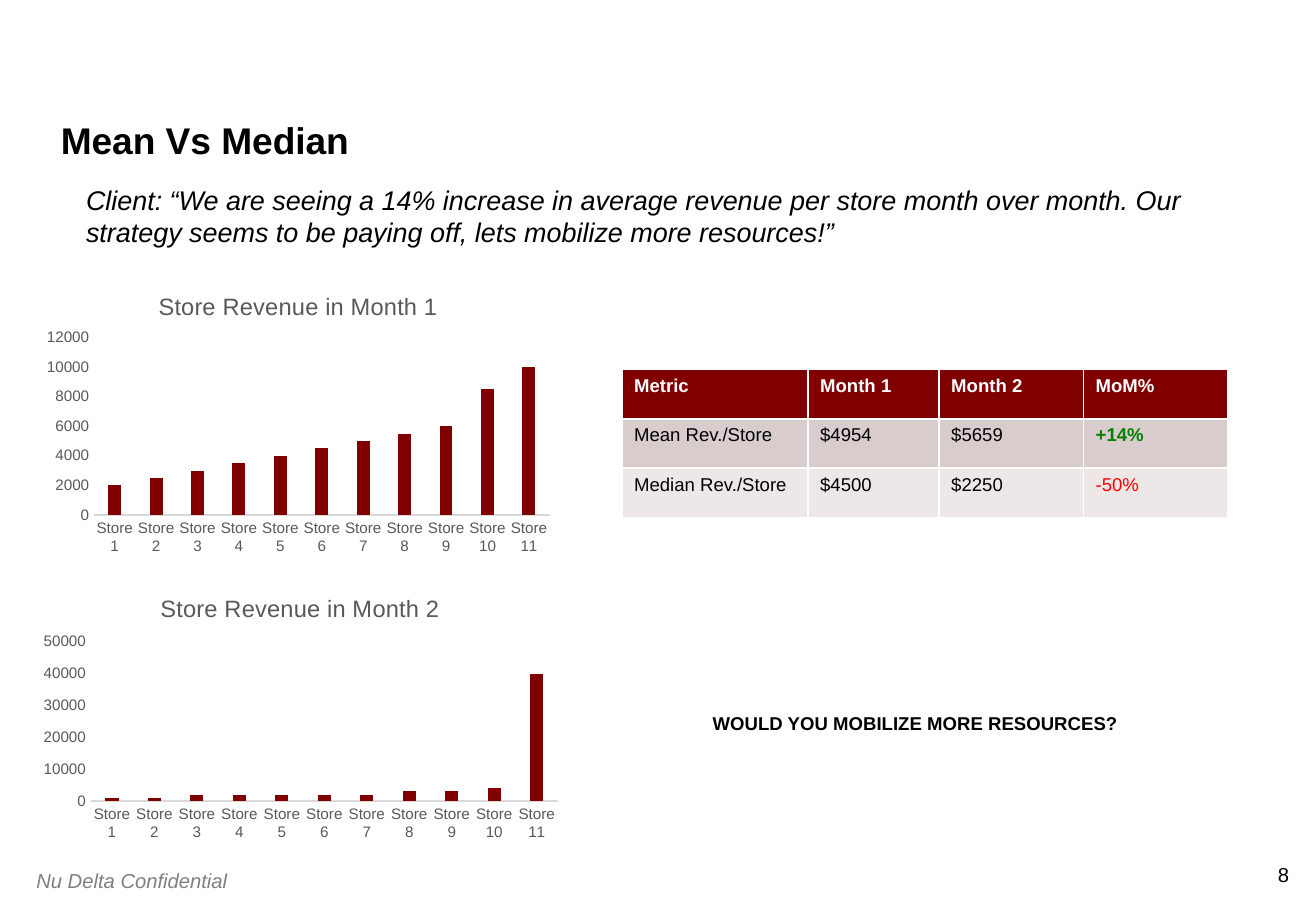
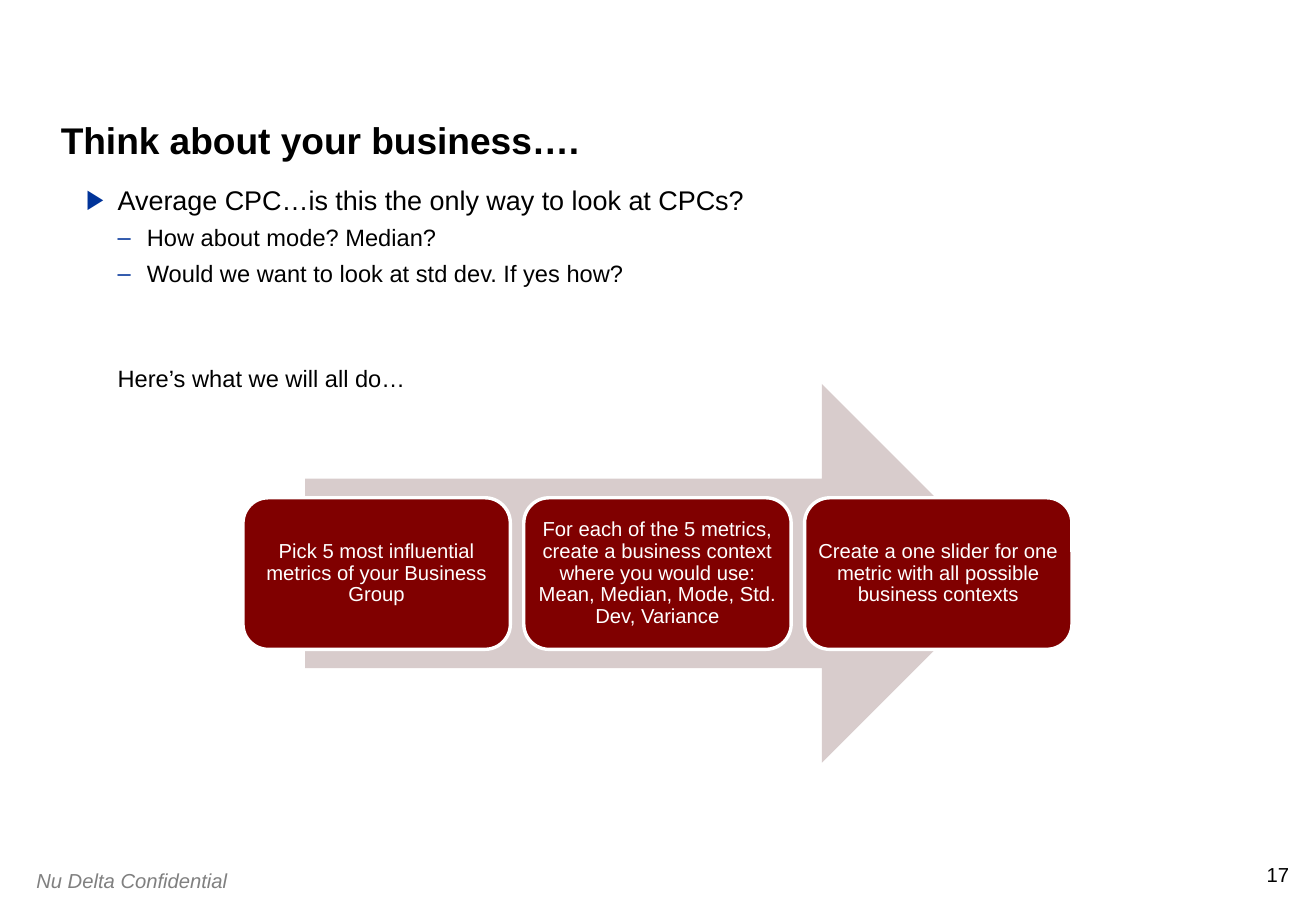
from dataclasses import dataclass

from lxml.etree import SubElement
from pptx import Presentation
from pptx.chart.data import CategoryChartData
from pptx.dml.color import RGBColor
from pptx.enum.chart import XL_CHART_TYPE, XL_TICK_MARK
from pptx.enum.shapes import MSO_SHAPE
from pptx.enum.text import MSO_ANCHOR, PP_ALIGN
from pptx.oxml.ns import qn
from pptx.slide import Slide
from pptx.text.text import Font, TextFrame
from pptx.util import Cm, Pt

FONT = "Arial"
BLACK, WHITE, GRAY, CHART_GRAY = "000000", "FFFFFF", "808080", "595959"
MAROON, ROSE, PALE_ROSE, AXIS_LINE = "800000", "D8CCCC", "EDE7E7", "D9D9D9"
GREEN, RED, BULLET_BLUE = "008000", "FF0000", "003399"
FOOTER = "Nu Delta Confidential"
BODY_LEFT, BODY_TOP, BODY_WIDTH = 1.8, 3.84, 24.33
STORES = [f"Store {number}" for number in range(1, 12)]


@dataclass(frozen=True)
class RevenueChart:
    title: str
    box: tuple[float, float, float, float]
    plot: tuple[float, float, float, float]  # fractions of the chart: x, y, w, h
    maximum: int
    step: int
    revenues: tuple[int, ...]


@dataclass(frozen=True)
class Line:
    text: str
    size: float
    bullet: str = ""
    margin: float = 0
    hanging: float = 0
    before: float = 0
    spacing: float = 1


REVENUE_CHARTS = (
    RevenueChart("Store Revenue in Month 1", (0.76, 5.74, 10.95, 5.99),
                 (0.11, 0.22, 0.87, 0.62), 12000, 2000,
                 (2000, 2500, 3000, 3500, 4000, 4500, 5000, 5500, 6000, 8500, 10000)),
    RevenueChart("Store Revenue in Month 2", (0.66, 12.07, 11.23, 5.64),
                 (0.11, 0.24, 0.87, 0.59), 50000, 10000,
                 (1000, 1000, 2000, 2000, 2000, 2000, 2000, 3000, 3000, 4000, 40000)),
)

METRICS = (
    ("Metric", "Month 1", "Month 2", "MoM%"),
    ("Mean Rev./Store", "$4954", "$5659", "+14%"),
    ("Median Rev./Store", "$4500", "$2250", "-50%"),
)
METRIC_WIDTHS = (3.89, 2.74, 3.02, 3.02)
ROW_FILLS = (MAROON, ROSE, PALE_ROSE)

QUESTIONS = (
    Line("Average CPC…is this the only way to look at CPCs?", 16, "▶", 0.66, 0.66),
    Line("How about mode? Median?", 14, "–", 1.27, 0.61, 6, 0.9),
    Line("Would we want to look at std dev. If yes how?", 14, "–", 1.27, 0.61, 6, 0.9),
    Line("Here’s what we will all do…", 14, margin=0.66, before=47.5, spacing=0.9),
)

STEPS = (
    "Pick 5 most influential metrics of your Business Group",
    "For each of the 5 metrics, create a business context where you would use: "
    "Mean, Median, Mode, Std. Dev, Variance",
    "Create a one slider for one metric with all possible business contexts",
)


def rgb(color: str) -> RGBColor:
    return RGBColor.from_string(color)


def style_font(font: Font, size: float, color: str = BLACK,
               bold: bool = False, italic: bool = False) -> None:
    font.name, font.size = FONT, Pt(size)
    font.bold, font.italic = bold, italic
    font.color.rgb = rgb(color)


def set_margins(frame: TextFrame, margin: float) -> None:
    frame.margin_left = frame.margin_right = Cm(margin)
    frame.margin_top = frame.margin_bottom = Cm(margin)


def add_text_box(slide: Slide, left: float, top: float, width: float, height: float,
                 margin: float | None = None) -> TextFrame:
    frame = slide.shapes.add_textbox(Cm(left), Cm(top), Cm(width), Cm(height)).text_frame
    frame.word_wrap = True
    if margin is not None:
        set_margins(frame, margin)
    return frame


def add_titled_slide(presentation: Presentation, title: str, number: int) -> Slide:
    """Add a slide with the shared title, footer and page number."""
    slide = presentation.slides.add_slide(presentation.slide_layouts[5])
    shape = slide.shapes.title
    shape.left, shape.top, shape.width, shape.height = Cm(1.27), Cm(1.07), Cm(24.97), Cm(2.34)
    frame = shape.text_frame
    frame.text = title
    frame.vertical_anchor = MSO_ANCHOR.BOTTOM
    set_margins(frame, 0)
    paragraph = frame.paragraphs[0]
    paragraph.alignment, paragraph.line_spacing = PP_ALIGN.LEFT, 0.9
    style_font(paragraph.font, 22, bold=True)

    page = add_text_box(slide, 25.4, 18.03, 1.55, 0.51, margin=0).paragraphs[0]
    page.text, page.alignment = str(number), PP_ALIGN.RIGHT
    style_font(page.font, 12)
    footer = add_text_box(slide, 0.51, 18.03, 6, 0.76).paragraphs[0]
    footer.text = FOOTER
    style_font(footer.font, 12, GRAY, italic=True)
    return slide


def add_revenue_chart(slide: Slide, revenue: RevenueChart) -> None:
    data = CategoryChartData()
    data.categories = STORES
    data.add_series("Series 1", revenue.revenues)
    chart = slide.shapes.add_chart(
        XL_CHART_TYPE.COLUMN_CLUSTERED, *map(Cm, revenue.box), data).chart
    style_font(chart.font, 10)
    chart.has_legend = False
    chart.has_title = True
    title = chart.chart_title.text_frame.paragraphs[0]
    title.text = revenue.title
    style_font(title.font, 14, CHART_GRAY)
    chart.chart_title.include_in_layout = False

    plot = chart.plots[0]
    plot.gap_width, plot.overlap, plot.vary_by_categories = 219, -27, False
    fill = plot.series[0].format.fill
    fill.solid()
    fill.fore_color.rgb = rgb(MAROON)
    for axis in (chart.category_axis, chart.value_axis):
        axis.major_tick_mark = axis.minor_tick_mark = XL_TICK_MARK.NONE
        axis.has_major_gridlines = False
        style_font(axis.tick_labels.font, 9, CHART_GRAY)
    category_line = chart.category_axis.format.line
    category_line.color.rgb, category_line.width = rgb(AXIS_LINE), Pt(0.75)
    value_axis = chart.value_axis
    value_axis.format.line.fill.background()
    value_axis.minimum_scale, value_axis.maximum_scale = 0, revenue.maximum
    value_axis.major_unit = revenue.step
    place_plot(chart, revenue.plot)


def place_plot(chart, fractions: tuple[float, float, float, float]) -> None:
    """Fix the inner plot area at fractions of the chart size."""
    area = chart.plots[0]._element.getparent()
    for old_layout in area.findall(qn("c:layout")):
        area.remove(old_layout)
    layout = SubElement(area, qn("c:layout"))
    area.insert(0, layout)
    manual = SubElement(layout, qn("c:manualLayout"))
    settings = [("layoutTarget", "inner"), ("xMode", "edge"), ("yMode", "edge")]
    settings += zip("xywh", map(str, fractions))
    for name, value in settings:
        SubElement(manual, qn(f"c:{name}")).set("val", value)


def add_metric_table(slide: Slide) -> None:
    row_height = 1.03
    table = slide.shapes.add_table(
        len(METRICS), len(METRIC_WIDTHS), Cm(13), Cm(7.73),
        Cm(sum(METRIC_WIDTHS)), Cm(row_height * len(METRICS))).table
    for column, width in zip(table.columns, METRIC_WIDTHS):
        column.width = Cm(width)
    change_colors = {"+14%": GREEN, "-50%": RED}
    for row_index, (values, row_fill) in enumerate(zip(METRICS, ROW_FILLS)):
        table.rows[row_index].height = Cm(row_height)
        text_color = BLACK if row_index else WHITE
        for column_index, value in enumerate(values):
            cell = table.cell(row_index, column_index)
            cell.fill.solid()
            cell.fill.fore_color.rgb = rgb(row_fill)
            cell.text = value
            style_font(cell.text_frame.paragraphs[0].font, 11,
                       change_colors.get(value, text_color),
                       bold=row_index == 0 or value == "+14%")


def add_lines(frame: TextFrame, lines: tuple[Line, ...]) -> None:
    for index, line in enumerate(lines):
        paragraph = frame.add_paragraph() if index else frame.paragraphs[0]
        paragraph.text = line.text
        paragraph.line_spacing = line.spacing
        if line.before:
            paragraph.space_before = Pt(line.before)
        properties = paragraph._p.get_or_add_pPr()
        properties.set("marL", str(Cm(line.margin)))
        properties.set("indent", str(-Cm(line.hanging)))
        if line.bullet:
            bullet_color = SubElement(properties, qn("a:buClr"))
            SubElement(bullet_color, qn("a:srgbClr")).set("val", BULLET_BLUE)
            SubElement(properties, qn("a:buFont")).set("typeface", FONT)
            SubElement(properties, qn("a:buChar")).set("char", line.bullet)
        style_font(paragraph.font, line.size)


def add_filled_shape(slide: Slide, kind: MSO_SHAPE, left: float, top: float,
                     width: float, height: float, color: str):
    shape = slide.shapes.add_shape(kind, Cm(left), Cm(top), Cm(width), Cm(height))
    shape.shadow.inherit = False
    shape.fill.solid()
    shape.fill.fore_color.rgb = rgb(color)
    shape.line.fill.background()
    return shape


def add_process(slide: Slide) -> None:
    add_filled_shape(slide, MSO_SHAPE.RIGHT_ARROW, 6.38, 8.03, 14.76, 7.92, ROSE)
    for index, text in enumerate(STEPS):
        step = add_filled_shape(slide, MSO_SHAPE.ROUNDED_RECTANGLE,
                                5.08 + index * 5.87, 10.41, 5.59, 3.17, MAROON)
        step.line.color.rgb, step.line.width = rgb(WHITE), Pt(2)
        frame = step.text_frame
        frame.word_wrap, frame.vertical_anchor = True, MSO_ANCHOR.MIDDLE
        set_margins(frame, 0.13)
        paragraph = frame.paragraphs[0]
        paragraph.text = text
        paragraph.alignment, paragraph.line_spacing = PP_ALIGN.CENTER, 0.9
        style_font(paragraph.font, 12, WHITE)


def build_mean_median_slide(presentation: Presentation) -> None:
    slide = add_titled_slide(presentation, "Mean Vs Median", 8)
    quote = add_text_box(slide, BODY_LEFT, BODY_TOP, BODY_WIDTH, 1.5, margin=0).paragraphs[0]
    quote.text = ("Client: “We are seeing a 14% increase in average revenue per store month "
                  "over month. Our strategy seems to be paying off, lets mobilize more resources!”")
    style_font(quote.font, 16, italic=True)
    for revenue in REVENUE_CHARTS:
        add_revenue_chart(slide, revenue)
    add_metric_table(slide)
    question = add_text_box(slide, 13.84, 14.76, 10.59, 0.74).paragraphs[0]
    question.text, question.alignment = "WOULD YOU MOBILIZE MORE RESOURCES?", PP_ALIGN.CENTER
    style_font(question.font, 11, bold=True)


def build_business_slide(presentation: Presentation) -> None:
    slide = add_titled_slide(presentation, "Think about your business….", 17)
    add_lines(add_text_box(slide, BODY_LEFT, BODY_TOP, BODY_WIDTH, 4.5, margin=0), QUESTIONS)
    add_process(slide)


def main() -> None:
    presentation = Presentation()
    presentation.slide_width, presentation.slide_height = Cm(27.51), Cm(19.05)
    build_mean_median_slide(presentation)
    build_business_slide(presentation)
    presentation.save("out.pptx")


if __name__ == "__main__":
    main()
